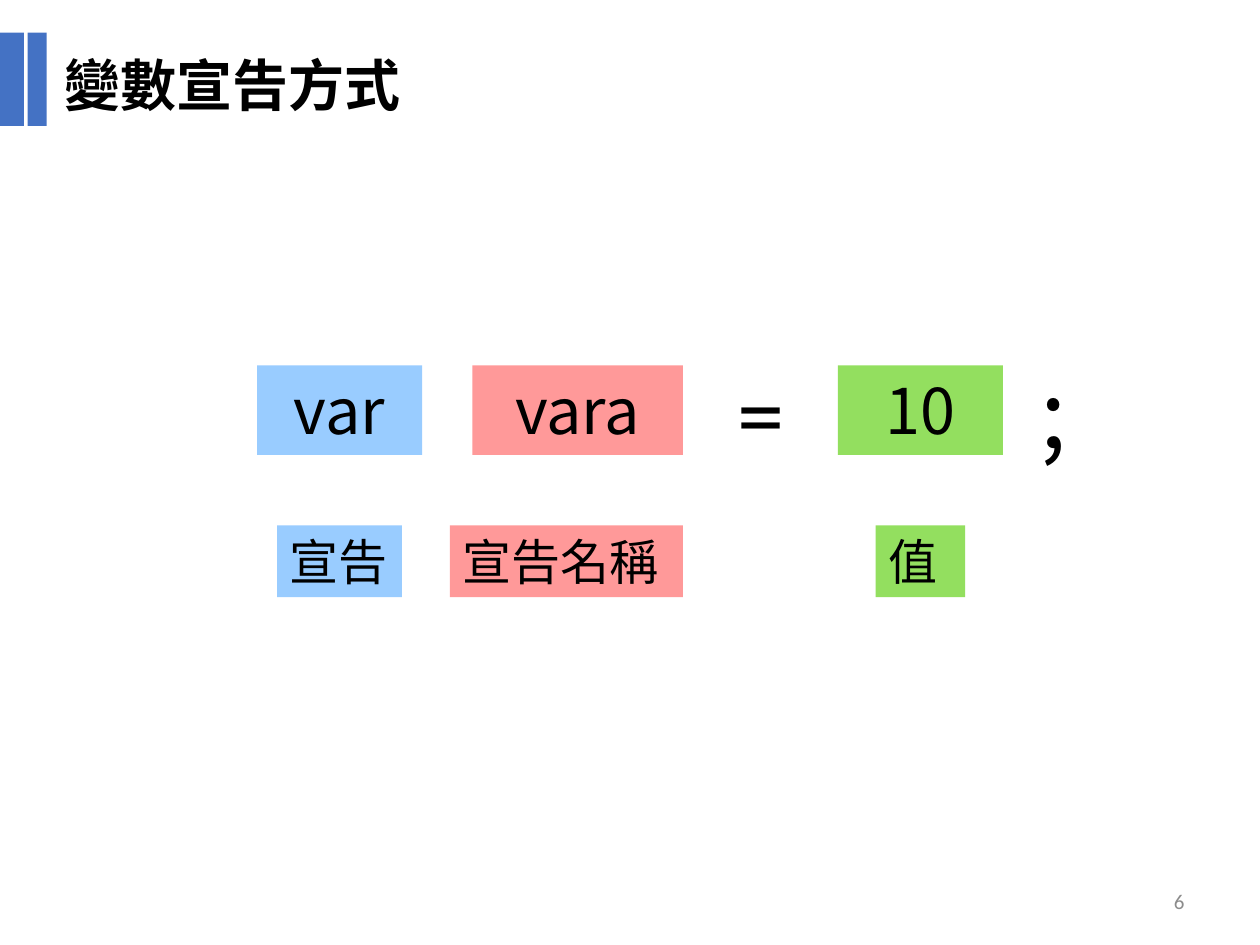
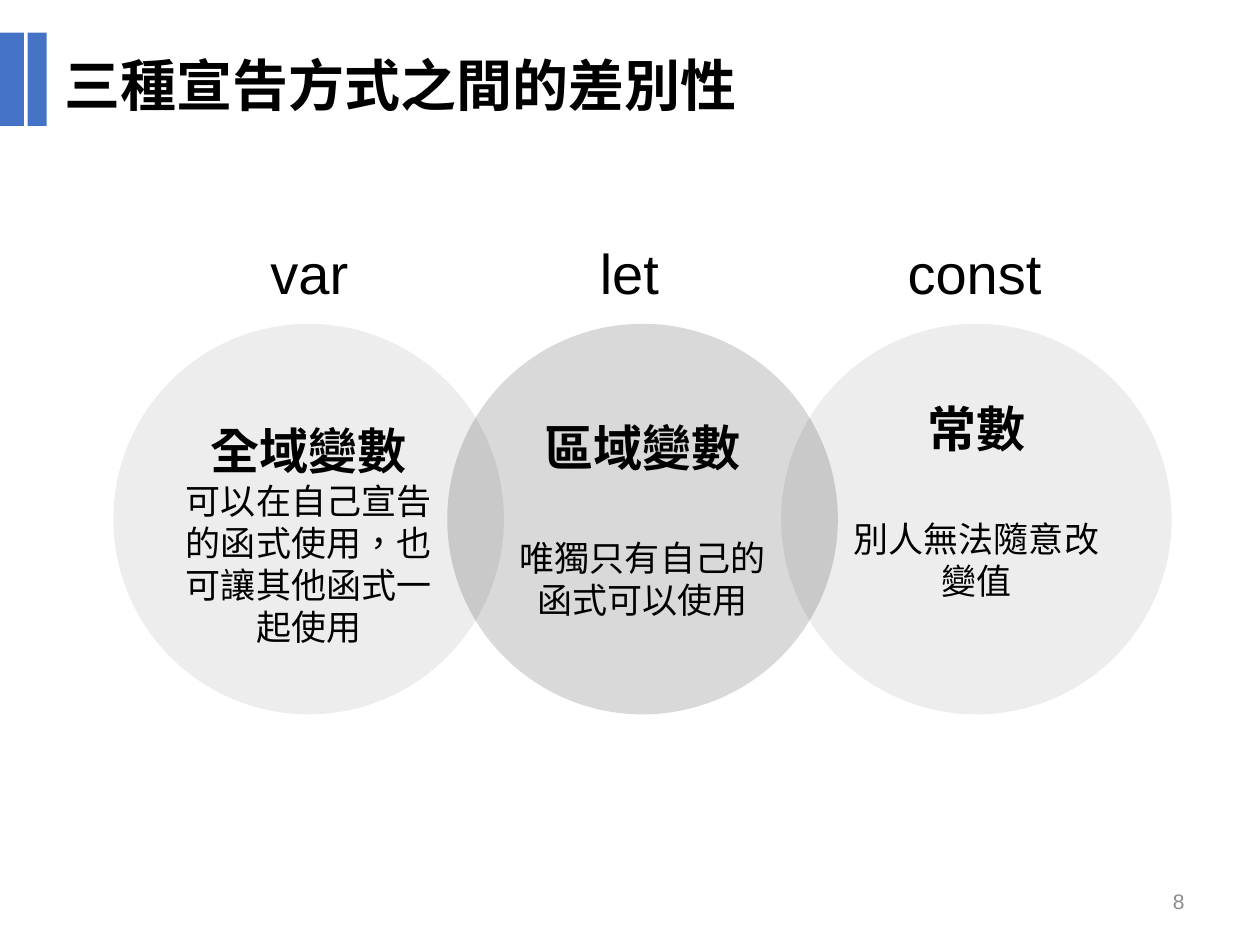
"""Builds two slides on declaring variables: the statement's parts and the three keywords."""
from lxml import etree
from pptx import Presentation
from pptx.dml.color import RGBColor
from pptx.enum import shapes, text
from pptx.oxml import ns
from pptx.util import Inches, Pt

BLACK = RGBColor(0x00, 0x00, 0x00)
WHITE = RGBColor(0xFF, 0xFF, 0xFF)
ACCENT = RGBColor(0x44, 0x72, 0xC4)
GREY = RGBColor(0x8C, 0x8C, 0x8C)
SILVER = RGBColor(0xD9, 0xD9, 0xD9)
BLUE = RGBColor(0x99, 0xCC, 0xFF)
RED = RGBColor(0xFF, 0x99, 0x99)
GREEN = RGBColor(0x93, 0xDF, 0x5F)

NOTO, ARIAL, CALIBRI = "Noto Sans CJK SC", "Arial", "Calibri"
LEFT, CENTER, RIGHT = text.PP_ALIGN.LEFT, text.PP_ALIGN.CENTER, text.PP_ALIGN.RIGHT
RECT, OVAL = shapes.MSO_SHAPE.RECTANGLE, shapes.MSO_SHAPE.OVAL

BARS = [(0, 0.19), (0.22, 0.15)]

STATEMENT = {"title": "變數宣告方式", "number": "6", "font": NOTO, "number_font": CALIBRI}
WORDS = [("var", 2.04, 1.31, BLUE), ("vara", 3.75, 1.67, RED), ("10", 6.65, 1.31, GREEN)]
MEANINGS = [("宣告", 2.2, 0.99, BLUE), ("宣告名稱", 3.57, 1.85, RED), ("值", 6.95, 0.71, GREEN)]
SYMBOLS = [("=", 5.75, CALIBRI), (";", 8.07, NOTO)]

COMPARISON = {"title": "三種宣告方式之間的差別性", "number": "8", "font": ARIAL, "number_font": ARIAL}
KEYWORDS = [("var", 2.01, 0.89, WHITE), ("let", 4.55, 0.89, None), ("const", 7, 1.47, None)]
SCOPES = [
    dict(column=1, name="區域變數", rule="唯獨只有自己的函式可以使用", gap=34),
    dict(column=0, name="全域變數", rule="可以在自己宣告的函式使用，也可讓其他函式一起使用",
         spacing=1.5, alpha=7),
    dict(column=2, name="常數", rule="別人無法隨意改變值", gap=34, bottom=0.4, alpha=7),
]
CIRCLE, CIRCLE_LEFT, CIRCLE_STEP, CIRCLE_TOP = 3.1, 0.9, 2.65, 2.57


def write(paragraph, words, font=NOTO, size=28, color=BLACK, bold=False, align=LEFT,
          before=0, spacing=None):
    """Put formatted words into a paragraph."""
    paragraph.alignment = align
    paragraph.space_before = Pt(before)
    paragraph.line_spacing = spacing
    run = paragraph.add_run()
    run.text = words
    run.font.name, run.font.size, run.font.bold = font, Pt(size), bold
    run.font.color.rgb = color
    properties = run.font._element
    properties.set("lang", "zh-TW")
    etree.SubElement(properties, ns.qn("a:ea")).set("typeface", font)


def block(slide, box, kind=RECT, fill=None, alpha=None):
    """Add a borderless shape, or a text box when there is no fill."""
    place = [Inches(length) for length in box]
    if fill is None:
        area = slide.shapes.add_textbox(*place)
    else:
        area = slide.shapes.add_shape(kind, *place)
        area.shadow.inherit = False
        area.line.fill.background()
        area.fill.solid()
        area.fill.fore_color.rgb = fill
        if alpha:
            tint = area.fill._xPr.find(".//" + ns.qn("a:srgbClr"))
            etree.SubElement(tint, ns.qn("a:alpha")).set("val", str(alpha * 1000))
    area.text_frame.word_wrap = True
    area.text_frame.vertical_anchor = text.MSO_ANCHOR.TOP
    return area.text_frame


def label(slide, words, box, fill=None, **style):
    """Add one line of text in a block."""
    frame = block(slide, box, fill=fill)
    write(frame.paragraphs[0], words, **style)
    return frame


def start_slide(deck, topic):
    """Add a slide with its bars, title and number."""
    slide = deck.slides.add_slide(deck.slide_layouts[5])
    for left, width in BARS:
        block(slide, (left, 0.26, width, 0.74), fill=ACCENT)
    title = slide.shapes.title
    title.left, title.top, title.width, title.height = map(Inches, (0.41, 0.35, 6.01, 0.64))
    heading = title.text_frame
    heading.auto_size = text.MSO_AUTO_SIZE.NONE
    heading.vertical_anchor = text.MSO_ANCHOR.TOP
    write(heading.paragraphs[0], topic["title"], font=topic["font"], size=32, bold=True)
    number = label(slide, topic["number"], (7.17, 6.95, 2.33, 0.4),
                   font=topic["number_font"], size=12, color=GREY, align=RIGHT)
    number.vertical_anchor = text.MSO_ANCHOR.MIDDLE
    return slide


def build_statement(deck):
    """Show a declaration above the meaning of its parts."""
    slide = start_slide(deck, STATEMENT)
    for word, left, width, fill in WORDS:
        label(slide, word, (left, 2.9, width, 0.71), fill, size=36, align=CENTER)
    for meaning, left, width, fill in MEANINGS:
        label(slide, meaning, (left, 4.17, width, 0.57), fill)
    for symbol, left, font in SYMBOLS:
        frame = label(slide, symbol, (left, 2.76, 0.58, 1.01), font=font, size=54, align=CENTER)
        frame.word_wrap = False


def build_comparison(deck):
    """Show the three keywords over overlapping circles."""
    slide = start_slide(deck, COMPARISON)
    for scope in SCOPES:
        left = CIRCLE_LEFT + scope["column"] * CIRCLE_STEP
        alpha = scope.get("alpha")
        frame = block(slide, (left, CIRCLE_TOP, CIRCLE, CIRCLE), OVAL,
                      BLACK if alpha else SILVER, alpha)
        frame.vertical_anchor = text.MSO_ANCHOR.MIDDLE
        frame.margin_left = frame.margin_right = frame.margin_top = Inches(0.1)
        frame.margin_bottom = Inches(scope.get("bottom", 0.1))
        write(frame.paragraphs[0], scope["name"], font=ARIAL, bold=True, align=CENTER,
              spacing=scope.get("spacing"))
        write(frame.add_paragraph(), scope["rule"], font=ARIAL, size=20, align=CENTER,
              before=scope.get("gap", 0))
    for keyword, left, width, fill in KEYWORDS:
        label(slide, keyword, (left, 1.84, width, 0.64), fill, font=ARIAL, size=32, align=CENTER)


def main():
    """Build and save the deck."""
    deck = Presentation()
    deck.slide_width, deck.slide_height = Inches(10), Inches(7.5)
    build_statement(deck)
    build_comparison(deck)
    deck.save("out.pptx")


if __name__ == "__main__":
    main()
